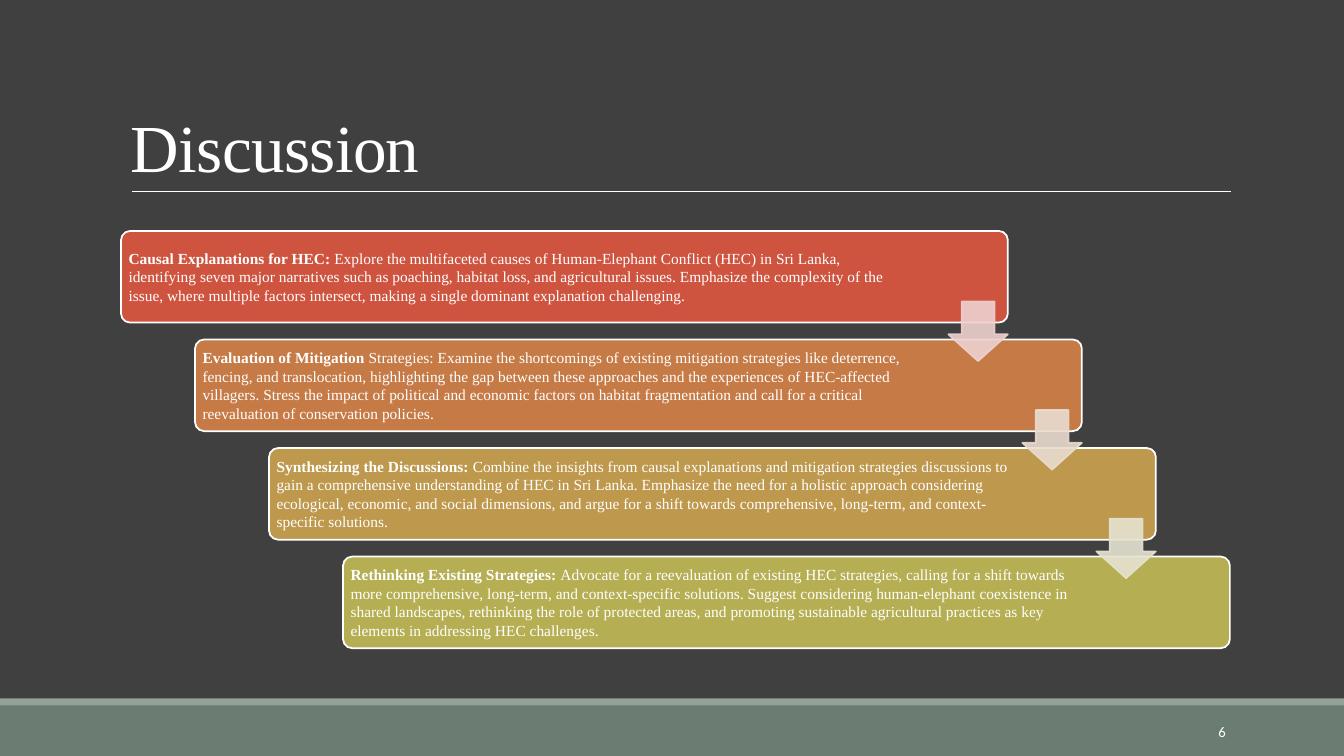
"""Build the Discussion slide: four stepped cards linked by down arrows."""
from lxml import etree
from pptx import Presentation
from pptx import util as u
from pptx.dml.color import RGBColor
from pptx.enum import shapes, text
from pptx.oxml.ns import qn

TITLE = "Discussion"
PAGE_NUMBER = "6"
CARDS = [
    ("Causal Explanations for HEC: ",
     "Explore the multifaceted causes of Human-Elephant Conflict (HEC) in Sri Lanka, identifying seven major "
     "narratives such as poaching, habitat loss, and agricultural issues. Emphasize the complexity of the issue, "
     "where multiple factors intersect, making a single dominant explanation challenging."),
    ("Evaluation of Mitigation ",
     "Strategies: Examine the shortcomings of existing mitigation strategies like deterrence, fencing, and "
     "translocation, highlighting the gap between these approaches and the experiences of HEC-affected villagers. "
     "Stress the impact of political and economic factors on habitat fragmentation and call for a critical "
     "reevaluation of conservation policies."),
    ("Synthesizing the Discussions: ",
     "Combine the insights from causal explanations and mitigation strategies discussions to gain a comprehensive "
     "understanding of HEC in Sri Lanka. Emphasize the need for a holistic approach considering ecological, "
     "economic, and social dimensions, and argue for a shift towards comprehensive, long-term, and "
     "context-specific solutions."),
    ("Rethinking Existing Strategies: ",
     "Advocate for a reevaluation of existing HEC strategies, calling for a shift towards more comprehensive, "
     "long-term, and context-specific solutions. Suggest considering human-elephant coexistence in shared "
     "landscapes, rethinking the role of protected areas, and promoting sustainable agricultural practices as key "
     "elements in addressing HEC challenges."),
]
THEME = {
    "page": "404040", "band": "6B7D72", "strip": "93A299", "ink": "FFFFFF",
    "cards": ["CF543F", "C67A46", "BE984C", "B5AE53"],
    "arrows": ["EDD1CF", "E9DCD0", "E5E3D1"],
    "serif": "Times New Roman", "sans": "Calibri",
    "title": 48, "body": 11, "number": 10.5, "rule": 0.5, "outline": 1.25,
}
WIDTH, HEIGHT = 33.87, 19.05
CARD_LEFT, CARD_TOP, CARD_WIDTH, CARD_HEIGHT = 3.05, 5.82, 22.35, 2.31
STEP_X, STEP_Y = 1.865, 2.735
FIRST_TEXT_WIDTH, TEXT_WIDTH, TEXT_INSET = 19.66, 18.85, 0.07
ARROW_SIZE, ARROW_DROP = 1.5, 1.78


def apply(target, **values):
    for name, value in values.items():
        setattr(target, name, value)


def colour(name):
    return RGBColor.from_string(name)


def add_block(page, kind, place, fill, line=None, adjustments=(), alpha=None):
    block = page.shapes.add_shape(kind, *map(u.Cm, place))
    block.shadow.inherit = False
    for index, value in enumerate(adjustments):
        block.adjustments[index] = value
    block.fill.solid()
    block.fill.fore_color.rgb = colour(fill)
    if line:
        block.line.color.rgb = colour(line)
        block.line.width = u.Pt(THEME["outline"])
    else:
        block.line.fill.background()
    if alpha:
        for tint in block._element.spPr.iter(qn("a:srgbClr")):
            etree.SubElement(tint, qn("a:alpha"), val=str(alpha * 1000))


def add_text(page, place, spans, size, font, anchor, inset=None, **layout):
    box = page.shapes.add_textbox(*map(u.Cm, place))
    frame = box.text_frame
    apply(frame, word_wrap=True, vertical_anchor=anchor)
    if inset is not None:
        sides = ("left", "top", "right", "bottom")
        apply(frame, **{f"margin_{side}": u.Cm(inset) for side in sides})
    para = frame.paragraphs[0]
    apply(para, **layout)
    for words, bold in spans:
        span = para.add_run()
        span.text = words
        apply(span.font, name=font, size=u.Pt(size), bold=bold)
        span.font.color.rgb = colour(THEME["ink"])
    return para


def add_frame(page):
    kind = shapes.MSO_SHAPE.RECTANGLE
    add_block(page, kind, (0, 17.78, WIDTH, 1.27), THEME["band"])
    add_block(page, kind, (0, 17.6, WIDTH, 0.18), THEME["strip"])
    rule = page.shapes.add_connector(
        shapes.MSO_CONNECTOR.STRAIGHT, *map(u.Cm, (3.33, 4.82, 31.01, 4.82)))
    rule.line.color.rgb = colour(THEME["ink"])
    rule.line.width = u.Pt(THEME["rule"])
    etree.SubElement(rule._element.spPr, qn("a:effectLst"))
    heading = add_text(page, (3.05, 0.79, 27.94, 4.03), [(TITLE, False)], THEME["title"],
                       THEME["serif"], text.MSO_ANCHOR.BOTTOM, line_spacing=0.85)
    heading.runs[0].font._element.set("spc", "-50")
    add_text(page, (27.5, 17.94, 3.64, 1.01), [(PAGE_NUMBER, False)], THEME["number"],
             THEME["sans"], text.MSO_ANCHOR.MIDDLE, alignment=text.PP_ALIGN.RIGHT)


def add_cards(page):
    corners = [(CARD_LEFT + i * STEP_X, CARD_TOP + i * STEP_Y) for i in range(len(CARDS))]
    for i, ((left, top), (lead, body)) in enumerate(zip(corners, CARDS)):
        add_block(page, shapes.MSO_SHAPE.ROUNDED_RECTANGLE, (left, top, CARD_WIDTH, CARD_HEIGHT),
                  THEME["cards"][i], THEME["ink"], [0.1])
        place = (left + TEXT_INSET, top + TEXT_INSET,
                 TEXT_WIDTH if i else FIRST_TEXT_WIDTH, CARD_HEIGHT - 2 * TEXT_INSET)
        add_text(page, place, [(lead, True), (body, False)], THEME["body"], THEME["serif"],
                 text.MSO_ANCHOR.MIDDLE, inset=0.12)
    for (left, top), tint in zip(corners, THEME["arrows"]):
        place = (left + CARD_WIDTH - ARROW_SIZE, top + ARROW_DROP, ARROW_SIZE, ARROW_SIZE)
        add_block(page, shapes.MSO_SHAPE.DOWN_ARROW, place, tint, tint, [0.55, 0.45], alpha=90)


def main():
    deck = Presentation()
    apply(deck, slide_width=u.Cm(WIDTH), slide_height=u.Cm(HEIGHT))
    page = deck.slides.add_slide(deck.slide_layouts[6])
    page.background.fill.solid()
    page.background.fill.fore_color.rgb = colour(THEME["page"])
    add_frame(page)
    add_cards(page)
    deck.save("out.pptx")


if __name__ == "__main__":
    main()
